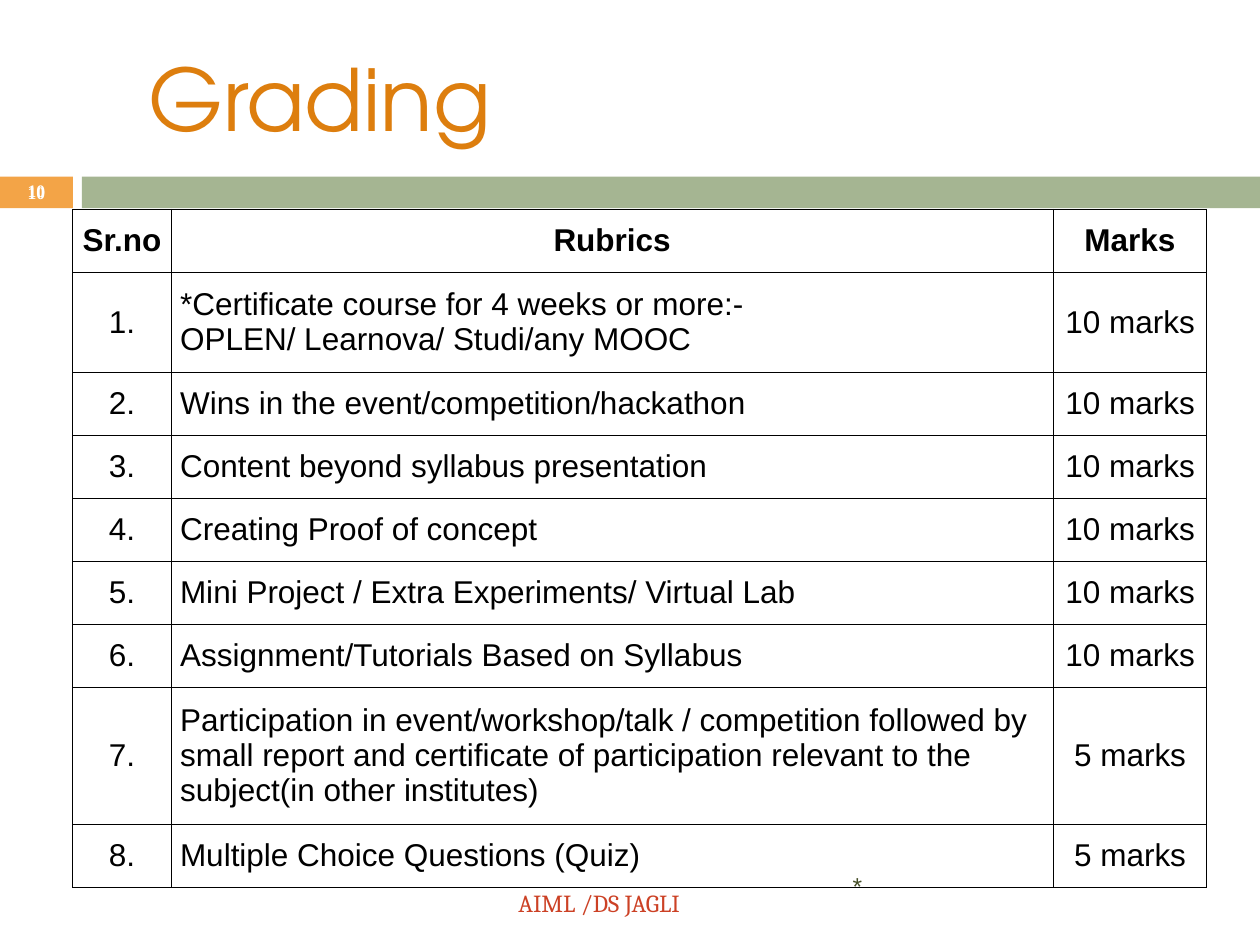
from typing import NamedTuple

from lxml import etree
from pptx import Presentation
from pptx.dml.color import RGBColor
from pptx.enum.shapes import MSO_SHAPE
from pptx.enum.text import MSO_ANCHOR, PP_ALIGN
from pptx.oxml.ns import qn
from pptx.util import Cm, Pt

RECTANGLE = MSO_SHAPE.RECTANGLE
MIDDLE = MSO_ANCHOR.MIDDLE
LEFT, CENTER = PP_ALIGN.LEFT, PP_ALIGN.CENTER

WHITE = RGBColor(0xFF, 0xFF, 0xFF)
BLACK = RGBColor(0x00, 0x00, 0x00)
ORANGE = RGBColor(0xF3, 0xA4, 0x47)
DARK_ORANGE = RGBColor(0xDD, 0x7E, 0x0E)
SAGE = RGBColor(0xA5, 0xB5, 0x92)
RED = RGBColor(0xCC, 0x41, 0x25)
OLIVE = RGBColor(0x44, 0x4D, 0x26)

COLUMN_WIDTHS = (1.98, 17.78, 3.1)
LINE_HEIGHT = 0.75
BORDER_WIDTH = Pt(0.63)
CELL_MARGIN = Cm(0.18)


class Box(NamedTuple):
    left: float
    top: float
    width: float
    height: float

    def lengths(self) -> tuple:
        return tuple(Cm(value) for value in self)


class Style(NamedTuple):
    font: str
    size: float
    color: RGBColor
    bold: bool = False
    align: int = LEFT
    line_spacing: float = 1.0


class Bar(NamedTuple):
    box: Box
    color: RGBColor


class Label(NamedTuple):
    text: str
    box: Box
    style: Style
    margin: float = 0.13


class Rubric(NamedTuple):
    lines: tuple
    marks: int
    height: float = 1.27


NUMBER_STYLE = Style("Times New Roman", 10, WHITE, True, CENTER)
NUMBER_BOX = Box(0, 3.53, 1.47, 0.69)
TITLE_BOX = Box(2.74, 0.76, 22.66, 2.41)
TITLE_STYLE = Style("TeX Gyre Adventor", 49, DARK_ORANGE)
HEADER_STYLE = Style("Arial", 18, BLACK, True, CENTER)
CENTERED_STYLE = HEADER_STYLE._replace(bold=False)
RUBRIC_STYLE = CENTERED_STYLE._replace(align=LEFT)

BARS = (
    Bar(Box(0, 3.56, 1.47, 0.64), ORANGE),
    Bar(Box(1.65, 3.56, 23.75, 0.64), SAGE),
)
LABELS = (
    Label("AIML /DS JAGLI", Box(7.47, 17.63, 9.22, 1.12),
          Style("Cambria", 14, RED, align=CENTER), 0.25),
    Label("10", NUMBER_BOX, NUMBER_STYLE),
    Label("*", Box(16.94, 17.35, 7.42, 1.02), Style("Arial", 14, OLIVE)),
    Label("10", NUMBER_BOX, NUMBER_STYLE._replace(line_spacing=0.9)),
)
HEADERS = ("Sr.no", "Rubrics", "Marks")
RUBRICS = (
    Rubric(("*Certificate course for 4 weeks or more:-",
            "OPLEN/ Learnova/ Studi/any MOOC"), 10, 2.01),
    Rubric(("Wins in the event/competition/hackathon",), 10),
    Rubric(("Content beyond syllabus presentation",), 10),
    Rubric(("Creating Proof of concept",), 10),
    Rubric(("Mini Project / Extra Experiments/ Virtual Lab",), 10),
    Rubric(("Assignment/Tutorials Based on Syllabus",), 10),
    Rubric(("Participation in event/workshop/talk / competition followed by "
            "small report and certificate of participation relevant to the "
            "subject(in other institutes)",), 5, 2.77),
    Rubric(("Multiple Choice Questions (Quiz)",), 5),
)
HEADER_HEIGHT = 1.27


def write_lines(text_frame, lines: tuple, style: Style) -> None:
    for index, line in enumerate(lines):
        paragraph = text_frame.add_paragraph() if index else text_frame.paragraphs[0]
        paragraph.alignment = style.align
        paragraph.line_spacing = style.line_spacing
        run = paragraph.add_run()
        run.text = line
        run.font.name = style.font
        run.font.size = Pt(style.size)
        run.font.bold = style.bold
        run.font.color.rgb = style.color


def add_bar(slide, bar: Bar) -> None:
    shape = slide.shapes.add_shape(RECTANGLE, *bar.box.lengths())
    shape.shadow.inherit = False
    shape.fill.solid()
    shape.fill.fore_color.rgb = bar.color
    shape.line.fill.background()


def add_label(slide, label: Label) -> None:
    text_frame = slide.shapes.add_textbox(*label.box.lengths()).text_frame
    text_frame.word_wrap = True
    text_frame.vertical_anchor = MIDDLE
    text_frame.margin_top = text_frame.margin_bottom = Cm(label.margin)
    write_lines(text_frame, (label.text,), label.style)


def set_title(slide, text: str) -> None:
    title = slide.shapes.title
    title.left, title.top, title.width, title.height = TITLE_BOX.lengths()
    title.text_frame.vertical_anchor = MIDDLE
    write_lines(title.text_frame, (text,), TITLE_STYLE)


def add_borders(cell) -> None:
    properties = cell._tc.get_or_add_tcPr()
    for position, side in enumerate(("lnL", "lnR", "lnT", "lnB")):
        line = etree.Element(qn(f"a:{side}"), w=str(int(BORDER_WIDTH)))
        fill = etree.SubElement(line, qn("a:solidFill"))
        etree.SubElement(fill, qn("a:srgbClr"), val=str(BLACK))
        properties.insert(position, line)


def fill_cell(cell, lines: tuple, style: Style) -> None:
    cell.fill.background()
    cell.vertical_anchor = MIDDLE
    cell.margin_left = cell.margin_right = CELL_MARGIN
    cell.margin_top = cell.margin_bottom = CELL_MARGIN
    write_lines(cell.text_frame, lines, style)
    add_borders(cell)


def add_grading_table(slide) -> None:
    heights = (HEADER_HEIGHT, *(rubric.height for rubric in RUBRICS))
    box = Box(1.47, 4.22, sum(COLUMN_WIDTHS), sum(heights))
    table = slide.shapes.add_table(
        len(heights), len(COLUMN_WIDTHS), *box.lengths()).table
    table.first_row = table.horz_banding = False
    for column, width in zip(table.columns, COLUMN_WIDTHS):
        column.width = Cm(width)
    for row, height in zip(table.rows, heights):
        row.height = Cm(height)
    for index, header in enumerate(HEADERS):
        fill_cell(table.cell(0, index), (header,), HEADER_STYLE)
    for number, rubric in enumerate(RUBRICS, start=1):
        fill_cell(table.cell(number, 0), (f"{number}.",), CENTERED_STYLE)
        fill_cell(table.cell(number, 1), rubric.lines, RUBRIC_STYLE)
        fill_cell(table.cell(number, 2), (f"{rubric.marks} marks",), CENTERED_STYLE)


def main() -> None:
    presentation = Presentation()
    presentation.slide_width, presentation.slide_height = Cm(25.4), Cm(19.05)
    title_only = presentation.slide_layouts[5]
    slide = presentation.slides.add_slide(title_only)
    set_title(slide, "Grading")
    for bar in BARS:
        add_bar(slide, bar)
    for label in LABELS:
        add_label(slide, label)
    add_grading_table(slide)
    presentation.save("out.pptx")


if __name__ == "__main__":
    main()
